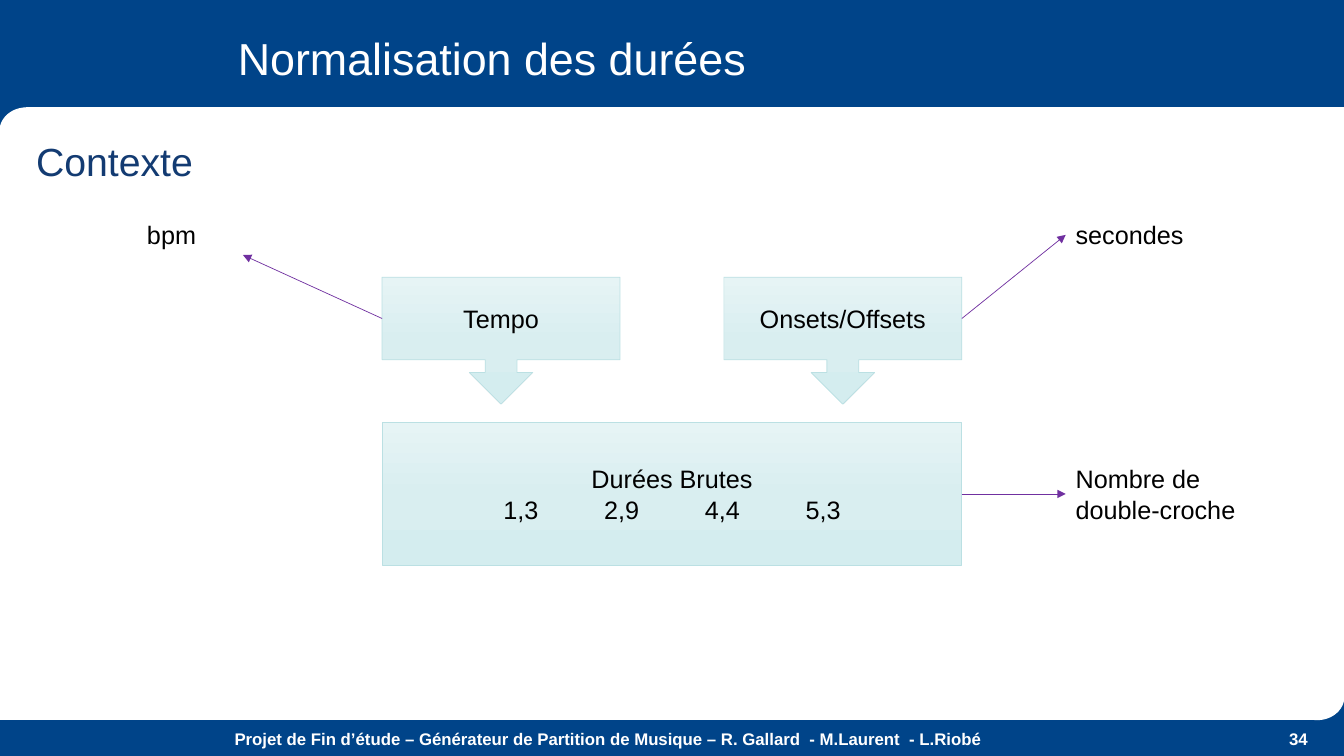
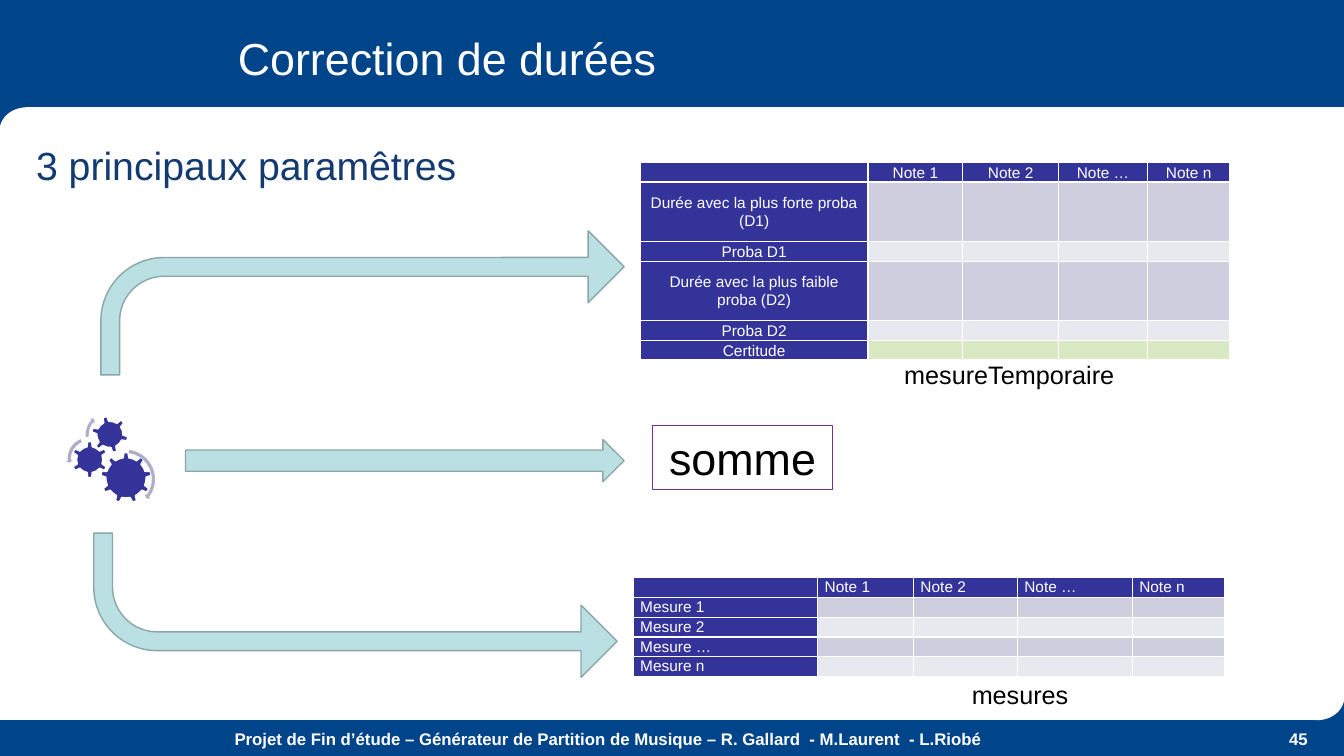
from copy import deepcopy
from dataclasses import dataclass
from math import cos, pi, radians, sin

from lxml.etree import SubElement
from pptx import Presentation
from pptx.dml.color import RGBColor
from pptx.enum.shapes import MSO_CONNECTOR, MSO_SHAPE
from pptx.enum.text import MSO_ANCHOR, PP_ALIGN
from pptx.oxml.ns import qn
from pptx.shapes.autoshape import Shape
from pptx.slide import Slide
from pptx.util import Emu, Inches, Pt

# Palette and type
NAVY = RGBColor(0x00, 0x44, 0x89)
HEADING = RGBColor(0x13, 0x3B, 0x72)
WHITE = RGBColor(0xFF, 0xFF, 0xFF)
BLACK = RGBColor(0x00, 0x00, 0x00)
PURPLE = RGBColor(0x70, 0x30, 0xA0)
AQUA = RGBColor(0xBB, 0xE0, 0xE3)
AQUA_EDGE = RGBColor(0x8A, 0xA6, 0xA8)
AQUA_SHADES = (RGBColor(0xE6, 0xF4, 0xF5), RGBColor(0xD9, 0xEE, 0xF0), RGBColor(0xD4, 0xED, 0xEF))
INDIGO = RGBColor(0x33, 0x33, 0x99)
LILAC = RGBColor(0xAE, 0xAE, 0xCA)
BANDS = (RGBColor(0xCE, 0xCE, 0xDE), RGBColor(0xE8, 0xE8, 0xEF))
GREEN = RGBColor(0xD9, 0xE9, 0xC3)
FONT = "Arial"

# Page layout, in inches
WIDTH, HEIGHT = 13.33, 7.5
MARGIN = 0.26
PANEL_TOP, PANEL_BOTTOM = 1.07, 7.14
EDGE = 0.19
CORNER_WIDTH, CORNER_HEIGHT = 0.53, 0.46
FOOTER_TOP, FOOTER_WIDTH = 7.18, 11.55
FOOTER = ("Projet de Fin d’étude – Générateur de Partition de Musique"
          " – R. Gallard  - M.Laurent  - L.Riobé")


@dataclass(frozen=True)
class Box:
    left: float
    top: float
    width: float
    height: float

    def emu(self) -> tuple[Emu, ...]:
        return tuple(Inches(v) for v in (self.left, self.top, self.width, self.height))


@dataclass(frozen=True)
class Style:
    size: float
    color: RGBColor
    align: PP_ALIGN = PP_ALIGN.LEFT
    anchor: MSO_ANCHOR = MSO_ANCHOR.TOP
    bold: bool = False


@dataclass(frozen=True)
class Gear:
    x: float
    y: float
    radius: float
    root: float
    teeth: int
    turn: float


@dataclass(frozen=True)
class Orbit:
    kind: MSO_SHAPE
    box: Box
    adjustments: tuple[float, ...]


@dataclass(frozen=True)
class Grid:
    left: float
    top: float
    columns: tuple[float, ...]
    rows: tuple[float, ...]
    row_names: tuple[str, ...]
    style: Style
    inset: float
    last_fill: RGBColor | None = None


TITLE = Style(32, WHITE, anchor=MSO_ANCHOR.MIDDLE)
SUBTITLE = Style(28, HEADING)
LABEL = Style(18, BLACK)
BLOCK = Style(18, BLACK, PP_ALIGN.CENTER, MSO_ANCHOR.MIDDLE)
SUM = Style(32, BLACK, PP_ALIGN.CENTER, MSO_ANCHOR.MIDDLE)
FOOT = Style(12, WHITE, PP_ALIGN.CENTER, bold=True)
PAGE = Style(12, WHITE, PP_ALIGN.RIGHT, bold=True)

NOTES = ("", "Note 1", "Note 2", "Note …", "Note n")
ROW = 0.98 / 5
TALL_ROW = 3 * ROW
PROBABILITIES = Grid(
    6.35, 1.61, (2.26, 0.94, 0.95, 0.88, 0.82), (ROW, TALL_ROW, ROW, TALL_ROW, ROW, ROW),
    ("Durée avec la plus forte proba (D1)", "Proba D1",
     "Durée avec la plus faible proba (D2)", "Proba D2", "Certitude"),
    Style(11, WHITE, PP_ALIGN.CENTER, MSO_ANCHOR.MIDDLE), 0.08, GREEN)
MEASURES = Grid(
    6.28, 5.73, (1.83, 0.95, 1.03, 1.14, 0.92), (ROW,) * 5,
    ("Mesure 1", "Mesure 2", "Mesure …", "Mesure n"), Style(11, WHITE), 0.07)

GEARS = (
    Gear(1.25, 4.74, 0.25, 0.2, 9, -90),
    Gear(0.89, 4.56, 0.18, 0.13, 6, -90),
    Gear(1.09, 4.31, 0.18, 0.13, 6, 14),
)
ORBITS = (
    Orbit(MSO_SHAPE.CIRCULAR_ARROW, Box(0.93, 4.44, 0.63, 0.63),
          (0.05, 2.99, 22.58, 166.22, 0.06)),
    Orbit(MSO_SHAPE.LEFT_CIRCULAR_ARROW, Box(0.65, 4.32, 0.46, 0.46),
          (0.07, 4.3, 104.89, 148.38, 0.08)),
    Orbit(MSO_SHAPE.CIRCULAR_ARROW, Box(0.83, 4.07, 0.49, 0.49),
          (0.06, 3.94, 133.14, 105.08, 0.07)),
)


# Drawing helpers
def write(frame, text: str, style: Style) -> None:
    frame.word_wrap = True
    frame.vertical_anchor = style.anchor
    frame.text = text
    for paragraph in frame.paragraphs:
        style_paragraph(paragraph, style)


def style_paragraph(paragraph, style: Style) -> None:
    paragraph.alignment = style.align
    font = paragraph.font
    font.name, font.size, font.bold = FONT, Pt(style.size), style.bold
    font.color.rgb = style.color


def add_text(slide: Slide, box: Box, text: str, style: Style) -> Shape:
    label = slide.shapes.add_textbox(*box.emu())
    write(label.text_frame, text, style)
    return label


def paint(shape: Shape, fill: RGBColor | None, line: RGBColor | None, weight: float = 1) -> None:
    shape.shadow.inherit = False
    if fill is None:
        shape.fill.background()
    else:
        shape.fill.solid()
        shape.fill.fore_color.rgb = fill
    if line is None:
        shape.line.fill.background()
    else:
        shape.line.color.rgb = line
        shape.line.width = Pt(weight)


def add_form(slide: Slide, kind: MSO_SHAPE, box: Box, fill: RGBColor | None,
             line: RGBColor | None = None, weight: float = 1,
             adjustments: tuple[float, ...] = ()) -> Shape:
    form = slide.shapes.add_shape(kind, *box.emu())
    for index, value in enumerate(adjustments):
        form.adjustments[index] = value
    paint(form, fill, line, weight)
    return form


def add_block(slide: Slide, kind: MSO_SHAPE, box: Box, text: str) -> Shape:
    block = add_form(slide, kind, box, None, AQUA, 0.5)
    block.fill.gradient()
    block.fill.gradient_angle = 270
    first = block.fill.gradient_stops[0]._gs
    first.addnext(deepcopy(first))
    for index, (stop, shade) in enumerate(zip(block.fill.gradient_stops, AQUA_SHADES)):
        stop.position = index / 2
        stop.color.rgb = shade
    write(block.text_frame, text, BLOCK)
    for paragraph in block.text_frame.paragraphs:  # one tab per inch
        paragraph._p.get_or_add_pPr().set("defTabSz", str(Inches(1)))
    return block


def add_pointer(slide: Slide, x: float, y: float, target: Shape, side: int,
                source: Shape | None = None) -> None:
    start = (Inches(x), Inches(y))
    pointer = slide.shapes.add_connector(MSO_CONNECTOR.STRAIGHT, *start, *start)
    if source is not None:
        pointer.begin_connect(source, 3)
    pointer.end_connect(target, side)
    pointer.line.color.rgb = PURPLE
    pointer.line.width = Pt(0.5)
    SubElement(pointer.line._get_or_add_ln(), qn("a:tailEnd"), type="triangle")
    SubElement(pointer._element.spPr, qn("a:effectLst"))


def add_gear(slide: Slide, gear: Gear) -> None:
    step = 2 * pi / gear.teeth
    half_root, half_tip = 0.07 / gear.radius / 2, 0.04 / gear.radius / 2
    profile = ((-half_root, gear.root), (-half_tip, gear.radius), (half_tip, gear.radius),
               (half_root, gear.root), (step / 2, gear.root))
    points = []
    for tooth in range(gear.teeth):
        middle = radians(gear.turn) + tooth * step
        points += [(Inches(gear.x + r * cos(middle + a)), Inches(gear.y + r * sin(middle + a)))
                   for a, r in profile]
    builder = slide.shapes.build_freeform(*points[0], scale=1.0)
    builder.add_line_segments(points[1:], close=True)
    paint(builder.convert_to_shape(), INDIGO, WHITE)


def add_borders(cell) -> None:
    properties = cell._tc.get_or_add_tcPr()
    for side in "LRTB":
        edge = SubElement(properties, qn(f"a:ln{side}"), w=str(Pt(1)))
        SubElement(SubElement(edge, qn("a:solidFill")), qn("a:srgbClr"), val=str(WHITE))


def add_grid(slide: Slide, grid: Grid) -> None:
    box = Box(grid.left, grid.top, sum(grid.columns), sum(grid.rows))
    table = slide.shapes.add_table(len(grid.rows), len(grid.columns), *box.emu()).table
    for column, width in zip(table.columns, grid.columns):
        column.width = Inches(width)
    for r, height in enumerate(grid.rows):
        table.rows[r].height = Inches(height)
        band = BANDS[(r - 1) % 2]
        if grid.last_fill and r == len(grid.rows) - 1:
            band = grid.last_fill
        for c, note in enumerate(NOTES):
            cell = table.cell(r, c)
            add_borders(cell)
            cell.fill.solid()
            cell.fill.fore_color.rgb = INDIGO if r == 0 or c == 0 else band
            cell.margin_left = cell.margin_right = Inches(grid.inset)
            cell.margin_top = cell.margin_bottom = 0
            cell.vertical_anchor = grid.style.anchor
            text = note if r == 0 else grid.row_names[r - 1] if c == 0 else ""
            paragraph = cell.text_frame.paragraphs[0]
            style_paragraph(paragraph, grid.style)
            paragraph.line_spacing = 1.07
            if text:
                paragraph.text = text
            else:  # keeps empty rows as low as the filled ones
                paragraph._p.get_or_add_endParaRPr().set("sz", str(grid.style.size * 100))


def add_panel(slide: Slide) -> None:
    """White panel, rounded at its top left and bottom right."""
    right, bottom = WIDTH - MARGIN, PANEL_BOTTOM - EDGE
    inner_top, side_height = PANEL_TOP + EDGE, bottom - PANEL_TOP
    corners = ((0, PANEL_TOP), (WIDTH - CORNER_WIDTH, PANEL_BOTTOM - CORNER_HEIGHT))
    parts = [(MSO_SHAPE.OVAL, Box(x, y, CORNER_WIDTH, CORNER_HEIGHT)) for x, y in corners]
    parts += [(MSO_SHAPE.RECTANGLE, box) for box in (
        Box(0, bottom, right, EDGE),
        Box(MARGIN, PANEL_TOP, right, EDGE),
        Box(0, inner_top, MARGIN, side_height),
        Box(right, PANEL_TOP, MARGIN, side_height),
        Box(MARGIN, inner_top, right - MARGIN, bottom - inner_top))]
    for kind, box in parts:
        add_form(slide, kind, box, WHITE, WHITE, 0.75)


def add_page(deck, title: str, subtitle: str, subtitle_top: float, number: int) -> Slide:
    slide = deck.slides.add_slide(deck.slide_layouts[6])
    add_panel(slide)
    add_text(slide, Box(2.26, 0.3, 10.41, 0.54), title, TITLE)
    add_text(slide, Box(MARGIN, subtitle_top, 5.5, 0.6), subtitle, SUBTITLE)
    add_text(slide, Box(MARGIN, FOOTER_TOP, FOOTER_WIDTH, 0.3), FOOTER, FOOT)
    add_text(slide, Box(MARGIN + FOOTER_WIDTH, FOOTER_TOP, 1.26, 0.3), str(number), PAGE)
    return slide


# Slides
def normalisation(deck) -> None:
    slide = add_page(deck, "Normalisation des durées", "Contexte", 1.31, 34)
    left, right, block_width = 3.79, 9.54, 2.36
    for x, name in ((left, "Tempo"), (right - block_width, "Onsets/Offsets")):
        add_block(slide, MSO_SHAPE.DOWN_ARROW_CALLOUT, Box(x, 2.75, block_width, 1.26), name)
    durations = add_block(slide, MSO_SHAPE.RECTANGLE, Box(left, 4.19, right - left, 1.42),
                          "Durées Brutes\n1,3\t2,9\t4,4\t5,3")

    # Units
    bpm = add_text(slide, Box(1.36, 2.13, 2.1, 0.4), "bpm", LABEL)
    seconds = add_text(slide, Box(10.57, 2.13, 2.1, 0.4), "secondes", LABEL)
    sixteenths = add_text(slide, Box(10.57, 4.55, 2.1, 0.7), "Nombre de double-croche", LABEL)
    add_pointer(slide, left, 3.16, bpm, 2)
    add_pointer(slide, right, 3.16, seconds, 1)
    add_pointer(slide, right, 4.9, sixteenths, 1, durations)


def correction(deck) -> None:
    slide = add_page(deck, "Correction de durées", "3 principaux paramêtres", 1.35, 45)
    add_grid(slide, PROBABILITIES)
    add_grid(slide, MEASURES)
    add_text(slide, Box(8.87, 3.52, 2.6, 0.4), "mesureTemporaire", LABEL)
    add_text(slide, Box(9.54, 6.69, 2.6, 0.4), "mesures", LABEL)
    total = add_form(slide, MSO_SHAPE.RECTANGLE, Box(6.47, 4.22, 1.79, 0.64), None, PURPLE, 0.75)
    write(total.text_frame, "somme", SUM)

    # Gears and the three arrows leaving them
    for gear in GEARS:
        add_gear(slide, gear)
    for orbit in ORBITS:
        add_form(slide, orbit.kind, orbit.box, LILAC, adjustments=orbit.adjustments)
    bend = (0.13, 0.25, 0.25, 0.44)
    for x, y, flipped in ((1, 2.29, False), (0.93, 5.29, True)):
        arrow = add_form(slide, MSO_SHAPE.BENT_ARROW, Box(x, y, 5.19, 1.43),
                         AQUA, AQUA_EDGE, adjustments=bend)
        if flipped:
            arrow._element.spPr.find(qn("a:xfrm")).set("flipV", "1")
    add_form(slide, MSO_SHAPE.RIGHT_ARROW, Box(1.84, 4.36, 4.35, 0.42), AQUA, AQUA_EDGE)


def main() -> None:
    deck = Presentation()
    deck.slide_width, deck.slide_height = Inches(WIDTH), Inches(HEIGHT)
    backdrop = deck.slide_master.background.fill
    backdrop.solid()
    backdrop.fore_color.rgb = NAVY
    normalisation(deck)
    correction(deck)
    deck.save("out.pptx")


if __name__ == "__main__":
    main()
